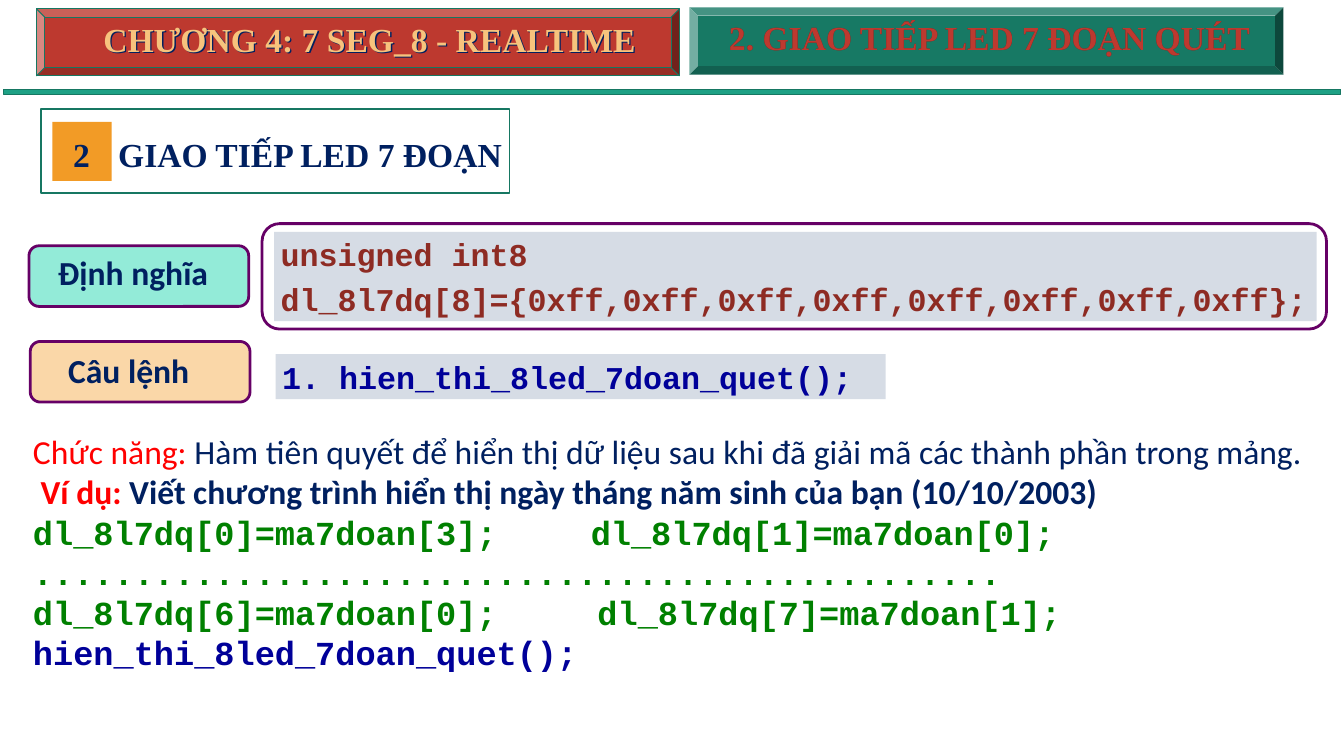
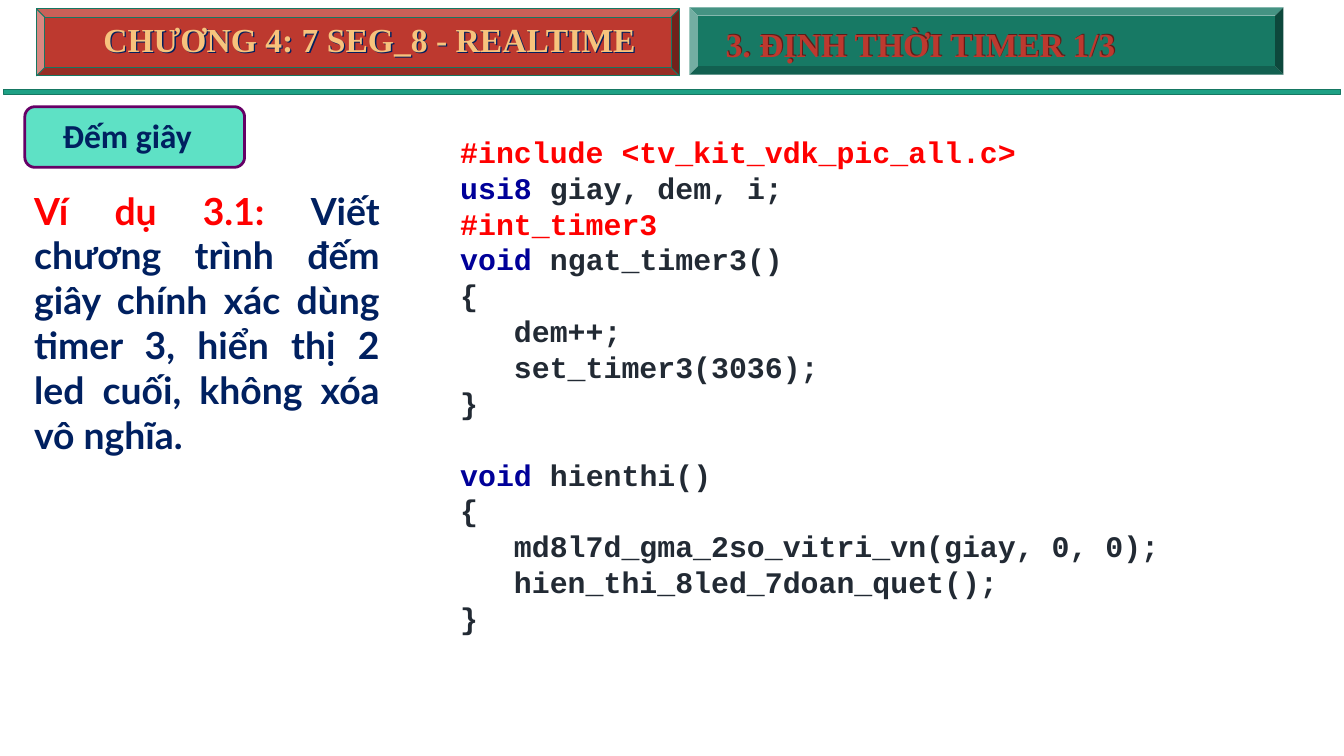
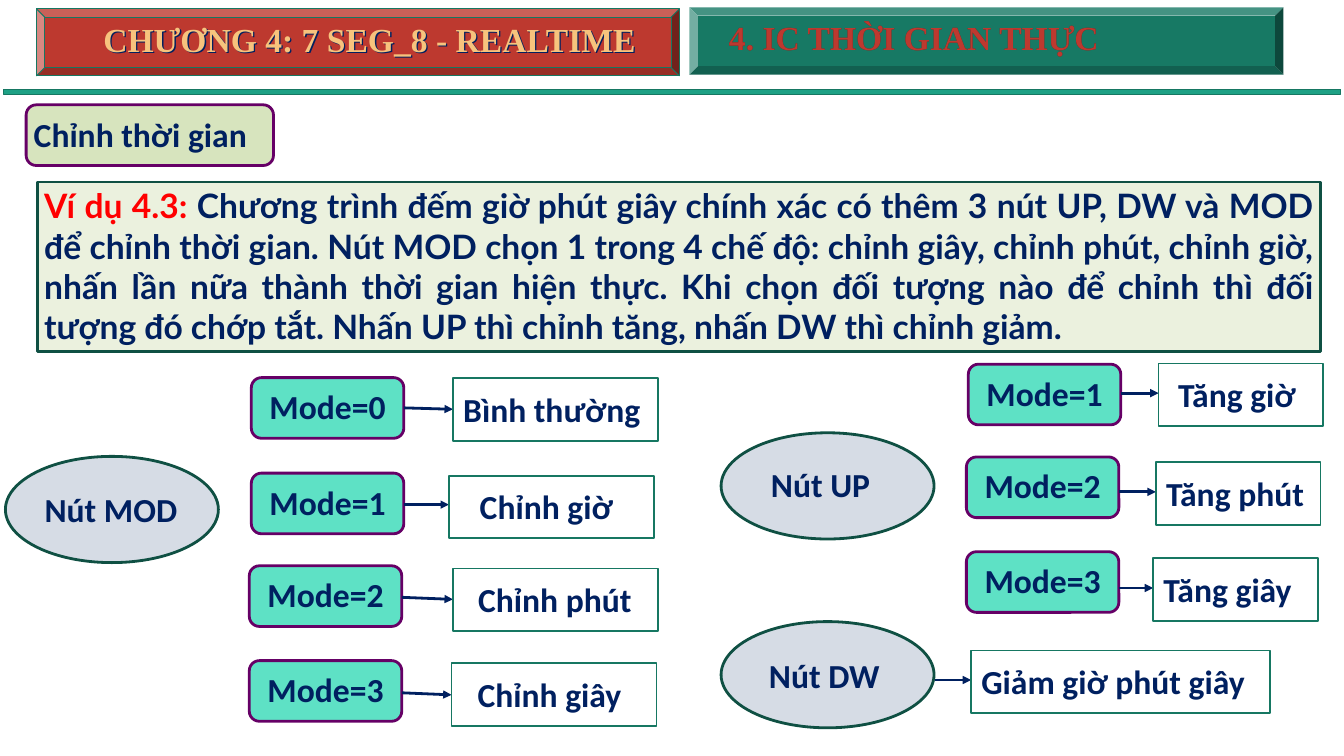
from dataclasses import dataclass
from functools import partial
from typing import Optional

from lxml.etree import SubElement
from pptx import Presentation
from pptx.dml.color import RGBColor
from pptx.enum.shapes import MSO_CONNECTOR, MSO_SHAPE
from pptx.enum.text import MSO_ANCHOR, PP_ALIGN
from pptx.oxml.ns import qn
from pptx.util import Pt

COLORS = {
    "navy": "002060", "red": "FF0000", "brick": "BD392F", "maroon": "5E1C18",
    "gold": "F7C37D", "orange": "F29B26", "peach": "FAD7A8", "teal": "1EA185",
    "edge": "167762", "forest": "0F5043", "banner": "177964", "mint": "5EE1C5",
    "pale_mint": "93EBD8", "sage": "D7E4BE", "cream": "EBF1DE", "gray": "D6DCE5",
    "purple": "660066", "rust": "8E2B23", "blue": "000099", "green": "008000",
    "ink": "222A34",
}
CHAPTER = "CHƯƠNG 4: 7 SEG_8 - REALTIME"


@dataclass(frozen=True)
class Run:
    text: str
    color: str = "navy"
    size: float = 36
    font: str = "Calibri"
    bold: bool = True
    outline: Optional[tuple[str, float]] = None


@dataclass(frozen=True)
class Box:
    x: float
    y: float
    w: float
    h: float


@dataclass(frozen=True)
class Look:
    shape: MSO_SHAPE
    fill: Optional[str] = None
    line: Optional[str] = None
    width: float = 0


@dataclass(frozen=True)
class Step:
    """A mode, the action it leads to, and the arrow between them."""
    mode: int
    mode_x: float
    mode_y: float
    action: str
    action_x: float
    action_y: float
    inset: float
    arrow_y: tuple[float, float]


Paragraphs = list[list[Run]]
TIMES = partial(Run, font="Times New Roman")
CODE = partial(Run, font="Courier New")
LATO = partial(Run, font="Lato")

RULE = Look(MSO_SHAPE.MATH_MINUS, "teal", "edge", 1)
CHAPTER_BAND = Look(MSO_SHAPE.BEVEL, "brick", "edge", 1)
TITLE_BAND = Look(MSO_SHAPE.BEVEL, "banner")
FRAME = Look(MSO_SHAPE.RECTANGLE, None, "edge", 2)
CODE_PANEL = Look(MSO_SHAPE.RECTANGLE, "gray")
BUTTON = Look(MSO_SHAPE.OVAL, "gray", "forest", 3)


def tag(fill: Optional[str]) -> Look:
    """Rounded box with a purple edge."""
    return Look(MSO_SHAPE.ROUNDED_RECTANGLE, fill, "purple", 3)


def rgb(name: str) -> RGBColor:
    return RGBColor.from_string(COLORS[name])


def outline_run(r, color: str, width: float) -> None:
    rPr = r._r.get_or_add_rPr()
    ln = rPr.makeelement(qn("a:ln"), {"w": str(Pt(width))})
    fill = SubElement(ln, qn("a:solidFill"))
    SubElement(fill, qn("a:srgbClr"), val=COLORS[color])
    rPr.insert(0, ln)


def write(tf, paragraphs: Paragraphs, align=PP_ALIGN.LEFT, spacing=None,
          after: float = 0, tab: float = 0) -> None:
    tf.word_wrap = True
    for i, runs in enumerate(paragraphs):
        p = tf.paragraphs[0] if i == 0 else tf.add_paragraph()
        p.alignment = align
        p.space_after = Pt(after)
        if spacing:
            p.line_spacing = spacing
        if tab:
            tabs = SubElement(p._p.get_or_add_pPr(), qn("a:tabLst"))
            SubElement(tabs, qn("a:tab"), pos=str(Pt(tab)), algn="l")
        for run in runs:
            r = p.add_run()
            r.text = run.text
            r.font.name = run.font
            r.font.size = Pt(run.size)
            r.font.bold = run.bold
            r.font.color.rgb = rgb(run.color)
            if run.outline:
                outline_run(r, *run.outline)
        if not runs:
            p.font.size = Pt(paragraphs[0][0].size)


def add_text(s, box: Box, paragraphs: Paragraphs, **layout) -> None:
    tb = s.shapes.add_textbox(Pt(box.x), Pt(box.y), Pt(box.w), Pt(box.h))
    write(tb.text_frame, paragraphs, **layout)


def add_box(s, box: Box, look: Look):
    sp = s.shapes.add_shape(look.shape, Pt(box.x), Pt(box.y), Pt(box.w), Pt(box.h))
    sp.shadow.inherit = False
    if look.fill:
        sp.fill.solid()
        sp.fill.fore_color.rgb = rgb(look.fill)
    else:
        sp.fill.background()
    if look.line:
        sp.line.color.rgb = rgb(look.line)
        sp.line.width = Pt(look.width)
    else:
        sp.line.fill.background()
    return sp


def add_label(s, box: Box, look: Look, run: Run, inset: Optional[float] = None,
              lift: float = 1.5, shift: float = 0) -> None:
    """Box with one line of text, centred unless a left inset is given.

    The text is raised by lift and moved left by shift.
    """
    tf = add_box(s, box, look).text_frame
    tf.vertical_anchor = MSO_ANCHOR.MIDDLE
    tf.margin_left = Pt(inset or 0)
    tf.margin_right = Pt(2 * shift)
    tf.margin_top = Pt(max(0, -2 * lift))
    tf.margin_bottom = Pt(max(0, 2 * lift))
    write(tf, [[run]], PP_ALIGN.CENTER if inset is None else PP_ALIGN.LEFT)


def add_panel(s, box: Box, look: Look, paragraphs: Paragraphs, **layout) -> None:
    tf = add_box(s, box, look).text_frame
    tf.vertical_anchor = MSO_ANCHOR.MIDDLE
    tf.margin_bottom = Pt(5)
    write(tf, paragraphs, **layout)


def add_arrow(s, x1: float, y1: float, x2: float, y2: float) -> None:
    c = s.shapes.add_connector(MSO_CONNECTOR.STRAIGHT, Pt(x1), Pt(y1), Pt(x2), Pt(y2))
    c.line.color.rgb = rgb("navy")
    c.line.width = Pt(3)
    SubElement(c.line._get_or_add_ln(), qn("a:tailEnd"), type="triangle")
    SubElement(c._element.spPr, qn("a:effectLst"))


def add_heading(s, text: str, x: float, y: float, color: str, dx: float, dy: float,
                shade: str, outline: tuple[str, float]) -> None:
    """Heading over an outlined copy of itself, shifted by dx and dy."""
    width = 590
    add_text(s, Box(x + dx, y + dy, width, 51), [[TIMES(text, shade, outline=outline)]])
    add_text(s, Box(x, y, width, 51), [[TIMES(text, color)]])


def new_slide(prs, title: str, x: float = 774, y: float = 14.2,
              dx: float = 0, dy: float = 0.5):
    s = prs.slides.add_slide(prs.slide_layouts[6])
    add_box(s, Box(-254.9, 86.4, 1949.8, 23.8), RULE)
    add_box(s, Box(39, 9.4, 689, 72), CHAPTER_BAND)
    add_box(s, Box(738.7, 7.9, 636.5, 72), TITLE_BAND)
    add_heading(s, title, x, y, "brick", dx, dy, "maroon", ("gold", 2.25))
    add_heading(s, CHAPTER, 103.7, 16.6, "gold", 1.4, 0.7, "navy", ("teal", 2.75))
    return s


def build_led_slide(prs) -> None:
    s = new_slide(prs, "2. GIAO TIẾP LED 7 ĐOẠN QUÉT")
    add_label(s, Box(56.2, 130.5, 63.4, 63.4), Look(MSO_SHAPE.RECTANGLE, "orange"),
              TIMES("2"), lift=-3, shift=0.5)
    add_box(s, Box(44, 116.8, 502, 90), FRAME)
    add_text(s, Box(119.5, 139.7, 436, 51), [[TIMES("GIAO TIẾP LED 7 ĐOẠN")]])

    declaration = ["unsigned int8", "dl_8l7dq[8]={0xff,0xff,0xff,0xff,0xff,0xff,0xff,0xff};"]
    add_panel(s, Box(293.6, 248.4, 1117, 95.8), CODE_PANEL,
              [[CODE(line, "rust", 34)] for line in declaration], spacing=1.02, after=6)
    add_box(s, Box(280.8, 239.6, 1140.5, 113), tag(None))
    add_label(s, Box(31, 263.3, 235.5, 65), tag("pale_mint"), Run("Định nghĩa"), 28, 4.2)
    add_label(s, Box(32.4, 365.8, 235.5, 65), tag("peach"), Run("Câu lệnh"), 37.5, 2)
    add_panel(s, Box(295.2, 379.4, 653.8, 48.3), CODE_PANEL,
              [[CODE("1. hien_thi_8led_7doan_quet();", "blue", 34)]], spacing=1.05, after=6)

    add_text(s, Box(28.3, 458, 1387, 95), [
        [Run("Chức năng: ", "red", bold=False),
         Run("Hàm tiên quyết để hiển thị dữ liệu sau khi đã giải mã các thành phần "
             "trong mảng.", bold=False)],
        [Run(" Ví dụ: ", "red"),
         Run("Viết chương trình hiển thị ngày tháng năm sinh của bạn (10/10/2003)")],
    ], spacing=Pt(43.2))
    code_lines = [
        ("dl_8l7dq[0]=ma7doan[3];\tdl_8l7dq[1]=ma7doan[0];", "green", 597.6),
        ("." * 48, "green", 0),
        ("dl_8l7dq[6]=ma7doan[0];\tdl_8l7dq[7]=ma7doan[1];", "green", 604.8),
        ("hien_thi_8led_7doan_quet();", "blue", 0),
    ]
    for i, (line, color, tab) in enumerate(code_lines):
        add_text(s, Box(28.3, 544.4 + 43.2 * i, 1387, 51), [[CODE(line, color)]],
                 spacing=Pt(43.2), tab=tab)


def build_timer_slide(prs) -> None:
    s = new_slide(prs, "3. ĐỊNH THỜI TIMER 1/3", 770.4, 21.6, 1.2, -1)
    add_text(s, Box(29.5, 197.6, 384.5, 300), [[
        LATO("Ví dụ 3.1: ", "red", 40),
        LATO("Viết chương trình đếm giây chính xác dùng timer 3, hiển thị 2 led cuối, "
             "không xóa vô nghĩa.", size=40),
    ]], align=PP_ALIGN.JUSTIFY)
    add_label(s, Box(26.6, 114.3, 235.5, 65), tag("mint"), Run("Đếm giây"), 37.3, 2.2)

    code = partial(CODE, size=32)
    plain = partial(code, color="ink")
    add_text(s, Box(486, 139.5, 929, 550), [
        [code("#include <tv_kit_vdk_pic_all.c>", "red")],
        [code("usi8", "blue"), plain(" giay, dem, i;")],
        [code("#int_timer3", "red")],
        [code("void", "blue"), plain(" ngat_timer3()")],
        [plain("{")],
        [plain("   dem++;")],
        [plain("   set_timer3(3036);")],
        [plain("}")],
        [],
        [code("void", "blue"), plain(" hienthi()")],
        [plain("{")],
        [plain("   md8l7d_gma_2so_vitri_vn(giay, 0, 0);")],
        [plain("   hien_thi_8led_7doan_quet();")],
        [plain("}")],
    ], spacing=Pt(38.4))


def add_step(s, step: Step, action_w: float) -> None:
    mode_w = 163.4
    add_label(s, Box(step.mode_x, step.mode_y, mode_w, 65), tag("mint"),
              Run(f"Mode={step.mode}"), lift=2)
    start, end = step.arrow_y
    add_arrow(s, step.mode_x + mode_w, start, step.action_x, end)
    add_label(s, Box(step.action_x, step.action_y, action_w, 67), FRAME,
              Run(step.action), step.inset, lift=0.8)


def build_clock_slide(prs) -> None:
    s = new_slide(prs, "4. IC THỜI GIAN THỰC")
    add_label(s, Box(28, 112.3, 265, 65), tag("sage"), Run("Chỉnh thời gian"), 5)
    add_panel(s, Box(40.3, 195, 1374.5, 181.5),
              Look(MSO_SHAPE.RECTANGLE, "cream", "forest", 3), [[
                  LATO("Ví dụ 4.3: ", "red"),
                  LATO("Chương trình đếm giờ phút giây chính xác có thêm 3 nút UP, DW và MOD "
                       "để chỉnh thời gian. Nút MOD chọn 1 trong 4 chế độ: chỉnh giây, chỉnh "
                       "phút, chỉnh giờ, nhấn lần nữa thành thời gian hiện thực. Khi chọn đối "
                       "tượng nào để chỉnh thì đối tượng đó chớp tắt. Nhấn UP thì chỉnh tăng, "
                       "nhấn DW thì chỉnh giảm."),
              ]], align=PP_ALIGN.JUSTIFY)

    buttons = [("Nút MOD", 5.8, 489, 0, 1), ("Nút UP", 772.6, 463.7, 2, 7.5),
               ("Nút DW", 772.6, 666, 0, 3.5)]
    for name, x, y, lift, shift in buttons:
        add_label(s, Box(x, y, 228.2, 113.8), BUTTON, Run(name), lift=lift, shift=shift)

    mod_steps = [
        Step(0, 269.3, 404.6, "Bình thường", 485.3, 405.4, 11, (437, 438.5)),
        Step(1, 269.3, 506.9, "Chỉnh giờ", 481, 509.8, 33, (540.7, 540.7)),
        Step(2, 267.1, 606.2, "Chỉnh phút", 485.3, 609.1, 27, (640, 642.2)),
        Step(3, 267.1, 707.8, "Chỉnh giây", 483.8, 710.6, 28, (742.3, 744.5)),
    ]
    up_steps = [
        Step(1, 1037.5, 390.2, "Tăng giờ", 1241.3, 389.5, 21, (421.2, 421.2)),
        Step(2, 1035.4, 489.6, "Tăng phút", 1238.4, 495.4, 11, (527, 527)),
        Step(3, 1035.4, 591.1, "Tăng giây", 1235.5, 598.3, 11, (630, 630)),
    ]
    for steps, action_w in ((mod_steps, 219.6), (up_steps, 176.4)):
        for step in steps:
            add_step(s, step, action_w)

    add_arrow(s, 1001.5, 728.6, 1040.4, 728.6)
    add_label(s, Box(1040.4, 697, 320.4, 67), FRAME, Run("Giảm giờ phút giây"), 11, 0.8)


def main() -> None:
    prs = Presentation()
    prs.slide_width, prs.slide_height = Pt(1440), Pt(810)
    build_led_slide(prs)
    build_timer_slide(prs)
    build_clock_slide(prs)
    prs.save("out.pptx")


if __name__ == "__main__":
    main()
